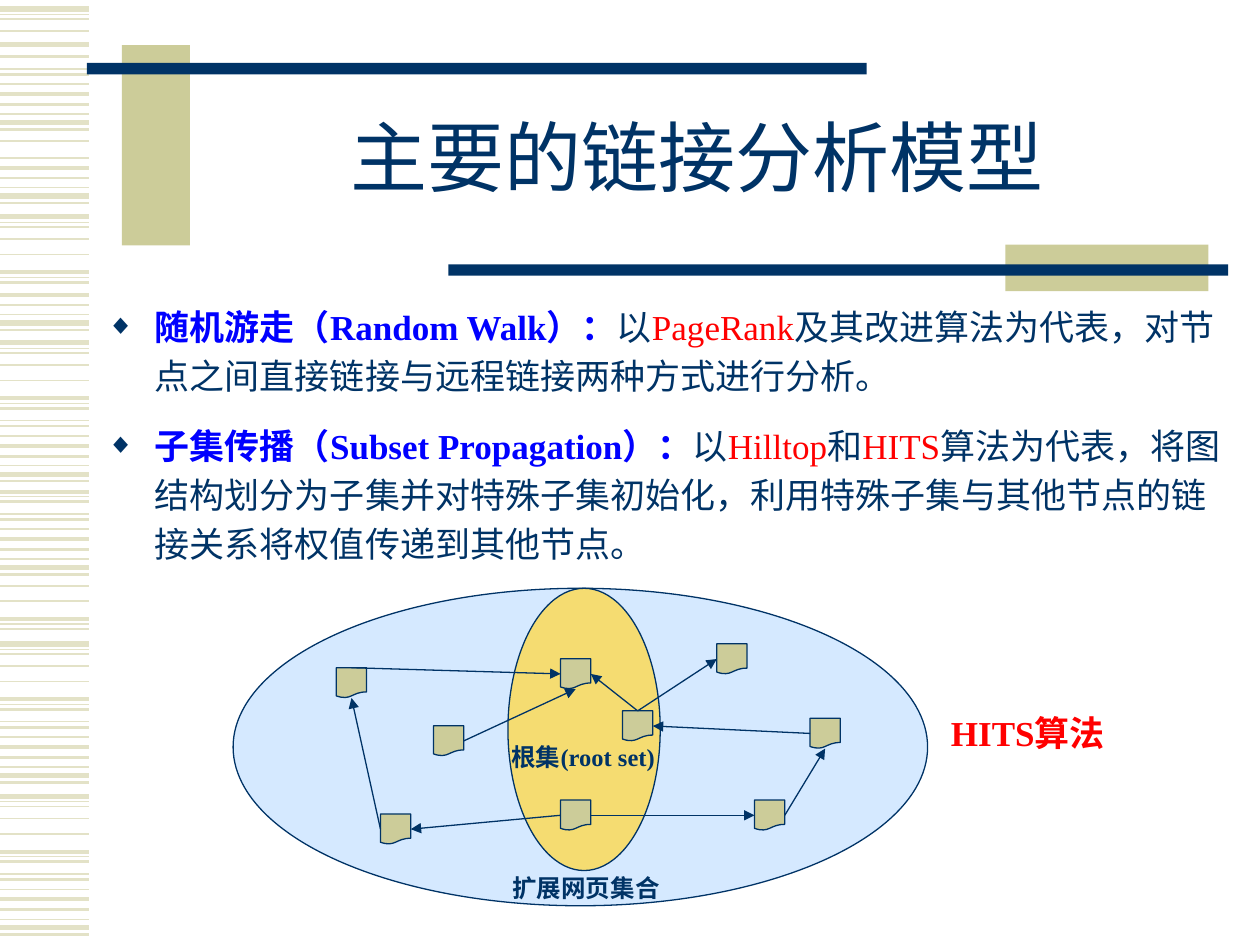
from lxml import etree
from pptx import Presentation
from pptx.dml.color import RGBColor
from pptx.enum.shapes import MSO_CONNECTOR, MSO_SHAPE
from pptx.enum.text import MSO_ANCHOR, PP_ALIGN
from pptx.oxml.ns import qn
from pptx.util import Cm, Pt

STRAIGHT = MSO_CONNECTOR.STRAIGHT
RECTANGLE, OVAL = MSO_SHAPE.RECTANGLE, MSO_SHAPE.OVAL
DOCUMENT = MSO_SHAPE.FLOWCHART_DOCUMENT
TOP_ANCHOR, MIDDLE_ANCHOR = MSO_ANCHOR.TOP, MSO_ANCHOR.MIDDLE
LEFT_ALIGN, CENTER_ALIGN = PP_ALIGN.LEFT, PP_ALIGN.CENTER

FONT = "Times New Roman"
NAVY, KHAKI, STRIPE = "003366", "CCCC99", "E3E2C7"
BLUE, RED = "0000FF", "FF0000"
SKY, GOLD = "D5E9FF", "F5DC71"

# Connection sites of a shape
TOP, LEFT, BOTTOM, RIGHT = range(4)

# Offset in cm and weight in points of each line of the stripe pattern
STRIPE_PATTERN = [
    (0, 3), (0.11, 0.75), (0.21, 1), (0.45, 1), (0.76, 1), (1.12, 2.25),
    (1.22, 0.75), (1.32, 1.5), (1.57, 0.75), (1.68, 1.5), (1.88, 1),
    (2.08, 2.25), (2.29, 1.5), (2.48, 0.75), (2.65, 3), (2.79, 1.5),
]
# Pattern origin in cm, and the part of the pattern used there
STRIPE_RUNS = [
    (0.18, 0, 4), (0.89, 0, 1), (-0.18, 7, 16), (2.08, 4, 5), (1.3, 10, 16),
    (3.86, 11, 16), (4.37, 0, 8), (6.91, 0, 16), (8.79, 5, 16),
    (11.36, 3, 8), (12.98, 0, 16), (16.05, 0, 16),
]

BULLETS = [
    (12, [("随机游走（Random Walk）：", BLUE, True), ("以", NAVY, False),
          ("PageRank", RED, False),
          ("及其改进算法为代表，对节点之间直接链接与远程链接两种方式进行分析。",
           NAVY, False)]),
    (6, [("子集传播（Subset Propagation）：", BLUE, True), ("以", NAVY, False),
         ("Hilltop", RED, False), ("和", NAVY, False), ("HITS", RED, False),
         ("算法为代表，将图结构划分为子集并对特殊子集初始化，"
          "利用特殊子集与其他节点的链接关系将权值传递到其他节点。",
          NAVY, False)]),
]

PAGE_SIZE = 0.61
PAGES = {
    "root top": (11.3, 13.28), "root right": (12.55, 14.33),
    "root bottom": (11.3, 16.13), "left top": (6.78, 13.46),
    "left middle": (8.74, 14.63), "left bottom": (7.67, 16.41),
    "right top": (14.45, 12.98), "right middle": (16.33, 14.48),
    "right bottom": (15.21, 16.13),
}
LINKS = [
    ("left middle", RIGHT, "root top", BOTTOM),
    ("left top", TOP, "root top", LEFT),
    ("left bottom", LEFT, "left top", BOTTOM),
    ("root bottom", LEFT, "left bottom", RIGHT),
    ("root right", TOP, "root top", RIGHT),
    ("root right", TOP, "right top", LEFT),
    ("right middle", LEFT, "root right", RIGHT),
    ("right bottom", RIGHT, "right middle", BOTTOM),
    ("root bottom", RIGHT, "right bottom", LEFT),
]


def color(hex_text):
    return RGBColor.from_string(hex_text)


def add_line(slide, ends, line_color, weight):
    line = slide.shapes.add_connector(STRAIGHT, *[Cm(value) for value in ends])
    line.line.color.rgb = color(line_color)
    line.line.width = Pt(weight)
    etree.SubElement(line._element.spPr, qn("a:effectLst"))
    return line


def add_link(slide, start, start_site, end, end_site):
    """Join two pages with an arrow that points at the second."""
    link = add_line(slide, (0, 0, 0, 0), NAVY, 0.75)
    link.begin_connect(start, start_site)
    link.end_connect(end, end_site)
    outline = link.line._get_or_add_ln()
    etree.SubElement(outline, qn("a:tailEnd"), type="triangle")


def add_filled(slide, kind, place, fill, outlined=False):
    shape = slide.shapes.add_shape(kind, *[Cm(value) for value in place])
    shape.shadow.inherit = False
    shape.fill.solid()
    shape.fill.fore_color.rgb = color(fill)
    if outlined:
        shape.line.color.rgb = color(NAVY)
        shape.line.width = Pt(0.75)
    else:
        shape.line.fill.background()
    return shape


def add_box(slide, place, anchor=TOP_ANCHOR):
    box = slide.shapes.add_textbox(*[Cm(value) for value in place])
    box.text_frame.word_wrap = True
    box.text_frame.vertical_anchor = anchor
    return box.text_frame


def format_span(span, size, text_color, bold):
    span.font.name = FONT
    span.font.size = Pt(size)
    span.font.bold = bold
    span.font.color.rgb = color(text_color)


def add_label(slide, place, text, size, text_color=NAVY):
    frame = add_box(slide, place)
    frame.text = text
    para = frame.paragraphs[0]
    para.space_before = Pt(size * 0.2)
    format_span(para.runs[0], size, text_color, True)


def add_title(slide, text):
    frame = add_box(slide, (3.81, 1.7, 20.5, 3.18), MIDDLE_ANCHOR)
    frame.text = text
    para = frame.paragraphs[0]
    para.alignment = CENTER_ALIGN
    para.line_spacing = 0.85
    format_span(para.runs[0], 44, NAVY, False)


def set_bullet(para):
    """Give the paragraph a hanging navy diamond."""
    properties = para._p.get_or_add_pPr()
    properties.set("marL", str(Cm(0.97)))
    properties.set("indent", str(-Cm(0.97)))
    bullet_color = etree.SubElement(properties, qn("a:buClr"))
    etree.SubElement(bullet_color, qn("a:srgbClr"), val=NAVY)
    etree.SubElement(properties, qn("a:buSzPct"), val="80000")
    etree.SubElement(properties, qn("a:buFont"), typeface=FONT)
    etree.SubElement(properties, qn("a:buChar"), char="◆")


def add_bullets(slide):
    frame = add_box(slide, (1.9, 5.89, 23.01, 13.03))
    for index, (space_before, spans) in enumerate(BULLETS):
        para = frame.add_paragraph() if index else frame.paragraphs[0]
        para.alignment = LEFT_ALIGN
        para.line_spacing = Pt(28)
        para.space_before = Pt(space_before)
        para.space_after = Pt(6)
        set_bullet(para)
        for text, text_color, bold in spans:
            span = para.add_run()
            span.text = text
            format_span(span, 20, text_color, bold)


def add_decoration(slide):
    for origin, first, last in STRIPE_RUNS:
        for offset, weight in STRIPE_PATTERN[first:last]:
            y = origin + offset
            add_line(slide, (0, y, 1.8, y), STRIPE, weight)
    add_filled(slide, RECTANGLE, (2.46, 0.91, 1.37, 4.04), KHAKI)
    add_filled(slide, RECTANGLE, (1.75, 1.27, 15.72, 0.23), NAVY)
    add_filled(slide, RECTANGLE, (20.27, 4.93, 4.09, 0.94), KHAKI)
    add_filled(slide, RECTANGLE, (9.04, 5.33, 15.72, 0.23), NAVY)


def add_diagram(slide):
    add_filled(slide, OVAL, (4.7, 11.86, 14, 6.4), SKY, True)
    add_filled(slide, OVAL, (10.24, 11.86, 3.07, 5.69), GOLD, True)
    pages = {
        name: add_filled(slide, DOCUMENT, (x, y, PAGE_SIZE, PAGE_SIZE),
                         KHAKI, True)
        for name, (x, y) in PAGES.items()
    }
    for start, start_site, end, end_site in LINKS:
        add_link(slide, pages[start], start_site, pages[end], end_site)
    add_label(slide, (10.06, 14.83, 3.43, 0.86), "根集(root set)", 14)
    add_label(slide, (10.08, 17.48, 3.73, 0.86), "扩展网页集合", 14)
    add_label(slide, (18.92, 14.22, 3.99, 1.12), "HITS算法", 20, RED)


def main():
    deck = Presentation()
    deck.slide_width, deck.slide_height = Cm(25.4), Cm(19.05)
    slide = deck.slides.add_slide(deck.slide_layouts[6])
    add_decoration(slide)
    add_title(slide, "主要的链接分析模型")
    add_bullets(slide)
    add_diagram(slide)
    deck.save("out.pptx")


if __name__ == "__main__":
    main()
